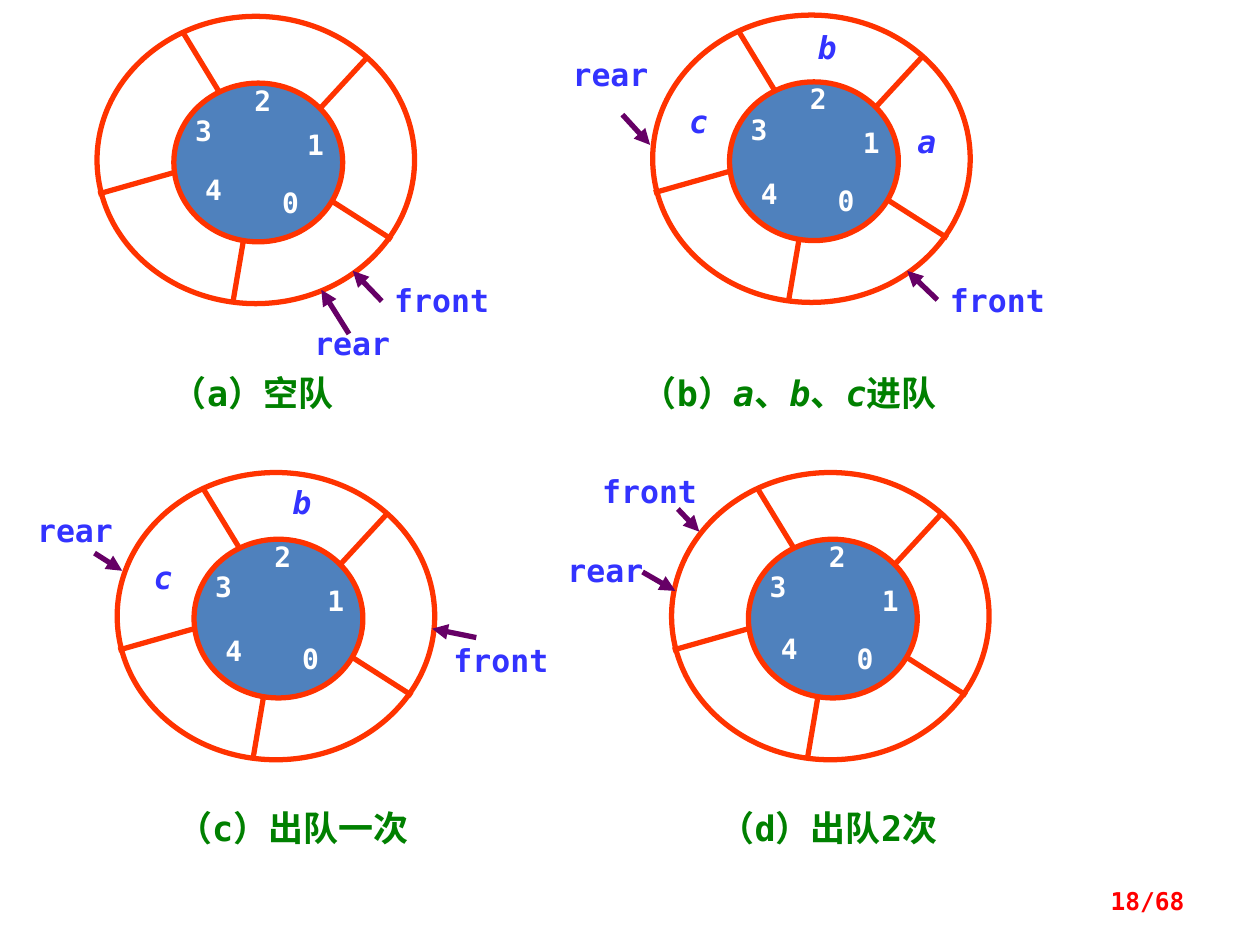
"""Builds a slide with four states of a circular queue."""
from dataclasses import dataclass

from lxml import etree
from pptx import Presentation
from pptx.dml.color import RGBColor
from pptx.enum import shapes, text
from pptx.oxml import ns
from pptx.util import Inches, Pt


@dataclass(frozen=True)
class Theme:
    font: str = "DejaVu Sans Mono"
    ring: str = "FF3300"
    core: str = "4F81BD"
    arrow: str = "660066"
    digit: str = "FFFFFF"
    label: str = "3333FF"
    caption: str = "008000"
    number: str = "FF0000"
    digit_size: int = 16
    label_size: int = 18
    caption_size: int = 20
    number_size: int = 14
    stroke: int = 3


theme = Theme()


def add_text(parent, place, spans, size, color, inset=True, align=text.PP_ALIGN.CENTER):
    box = parent.add_textbox(*map(Inches, place))
    frame = box.text_frame
    frame.word_wrap = True
    if not inset:
        frame.margin_left = frame.margin_top = frame.margin_right = frame.margin_bottom = 0
    para = frame.paragraphs[0]
    para.alignment = align
    for words in spans:
        span = para.add_run()
        span.text = words
        span.font.name = theme.font
        span.font.size = Pt(size)
        span.font.bold = True
        span.font.italic = words in ("a", "b", "c")
        span.font.color.rgb = RGBColor.from_string(color)
    return frame


def add_line(parent, points, color, arrow=False):
    line = parent.add_connector(shapes.MSO_CONNECTOR.STRAIGHT, *map(Inches, points))
    line.line.color.rgb = RGBColor.from_string(color)
    line.line.width = Pt(theme.stroke)
    properties = line.element.spPr
    if arrow:
        outline = properties.find(ns.qn("a:ln"))
        etree.SubElement(outline, ns.qn("a:tailEnd"), type="triangle")
    etree.SubElement(properties, ns.qn("a:effectLst"))


spokes = [
    (1.87, 1.47, 2.34, 1.77),
    (1.78, 0.72, 2.14, 0.33),
    (0.69, 0.14, 0.97, 0.6),
    (1.16, 1.79, 1.08, 2.26),
    (0.01, 1.41, 0.61, 1.24),
]
digits = [(1.38, 1.34), (1.58, 0.88), (1.16, 0.53), (0.69, 0.77)]
ellipses = [(0.61, 0.53, 1.34, 1.26, theme.core), (0, 0, 2.52, 2.28, None)]

queues = [
    dict(
        origin=(0.77, 0.13),
        four=(0.77, 1.24),
        labels=[("front", 3.11, 2.23), ("rear", 2.4, 2.57)],
        arrows=[(3.03, 2.39, 2.8, 2.15), (2.77, 2.65, 2.55, 2.3)],
        caption=["（a）空队"],
        caption_at=(1.06, 2.9, 1.89),
    ),
    dict(
        origin=(5.18, 0.12),
        four=(0.77, 1.28),
        labels=[("front", 7.52, 2.23), ("a", 7.2, 0.97), ("b", 6.41, 0.22),
                ("c", 5.39, 0.81), ("rear", 4.45, 0.44)],
        arrows=[(7.44, 2.38, 7.2, 2.15), (4.94, 0.91, 5.16, 1.15)],
        caption=["（b）", "a", "、", "b", "、", "c", "进队"],
        caption_at=(4.53, 2.9, 3.47),
    ),
    dict(
        origin=(0.93, 3.75),
        four=(0.77, 1.28),
        labels=[("front", 3.58, 5.09), ("b", 2.24, 3.83), ("c", 1.14, 4.43),
                ("rear", 0.2, 4.06)],
        arrows=[(3.78, 5.06, 3.43, 4.99), (0.75, 4.39, 0.97, 4.53)],
        caption=["（c）出队一次"],
        caption_at=(0.59, 6.35, 3.47),
    ),
    dict(
        origin=(5.33, 3.75),
        four=(0.78, 1.26),
        labels=[("front", 4.76, 3.75), ("rear", 4.41, 4.37)],
        arrows=[(5.1, 4.54, 5.36, 4.69), (5.38, 4.04, 5.55, 4.22)],
        caption=["（d）出队2次"],
        caption_at=(4.84, 6.35, 3.47),
    ),
]

deck = Presentation()
deck.slide_width = Inches(10)
deck.slide_height = Inches(7.5)
page = deck.slides.add_slide(deck.slide_layouts[6])

for queue in queues:
    group = page.shapes.add_group_shape().shapes
    left, top = queue["origin"]

    for x, y, width, height, fill in ellipses:
        place = map(Inches, (left + x, top + y, width, height))
        ellipse = group.add_shape(shapes.MSO_SHAPE.OVAL, *place)
        ellipse.shadow.inherit = False
        ellipse.line.color.rgb = RGBColor.from_string(theme.ring)
        ellipse.line.width = Pt(theme.stroke)
        if fill:
            ellipse.fill.solid()
            ellipse.fill.fore_color.rgb = RGBColor.from_string(fill)
        else:
            ellipse.fill.background()

    for x1, y1, x2, y2 in spokes:
        add_line(group, (left + x1, top + y1, left + x2, top + y2), theme.ring)

    for index, (x, y) in enumerate(digits + [queue["four"]]):
        frame = add_text(group, (left + x, top + y, 0.31, 0.27), [str(index)],
                         theme.digit_size, theme.digit, inset=False)
        frame.auto_size = text.MSO_AUTO_SIZE.SHAPE_TO_FIT_TEXT

    for words, x, y in queue["labels"]:
        width = 0.31 if len(words) == 1 else 0.79
        frame = add_text(group, (x, y, width, 0.3), [words],
                         theme.label_size, theme.label, inset=False)
        frame.auto_size = text.MSO_AUTO_SIZE.SHAPE_TO_FIT_TEXT

    for points in queue["arrows"]:
        add_line(group, points, theme.arrow, arrow=True)

    frame = add_text(group, (*queue["caption_at"], 0.44), queue["caption"],
                     theme.caption_size, theme.caption)
    frame.auto_size = text.MSO_AUTO_SIZE.SHAPE_TO_FIT_TEXT

frame = add_text(page.shapes, (7.17, 6.95, 2.33, 0.4), ["18/68"],
                 theme.number_size, theme.number, align=text.PP_ALIGN.RIGHT)
frame.vertical_anchor = text.MSO_ANCHOR.MIDDLE

deck.save("out.pptx")
